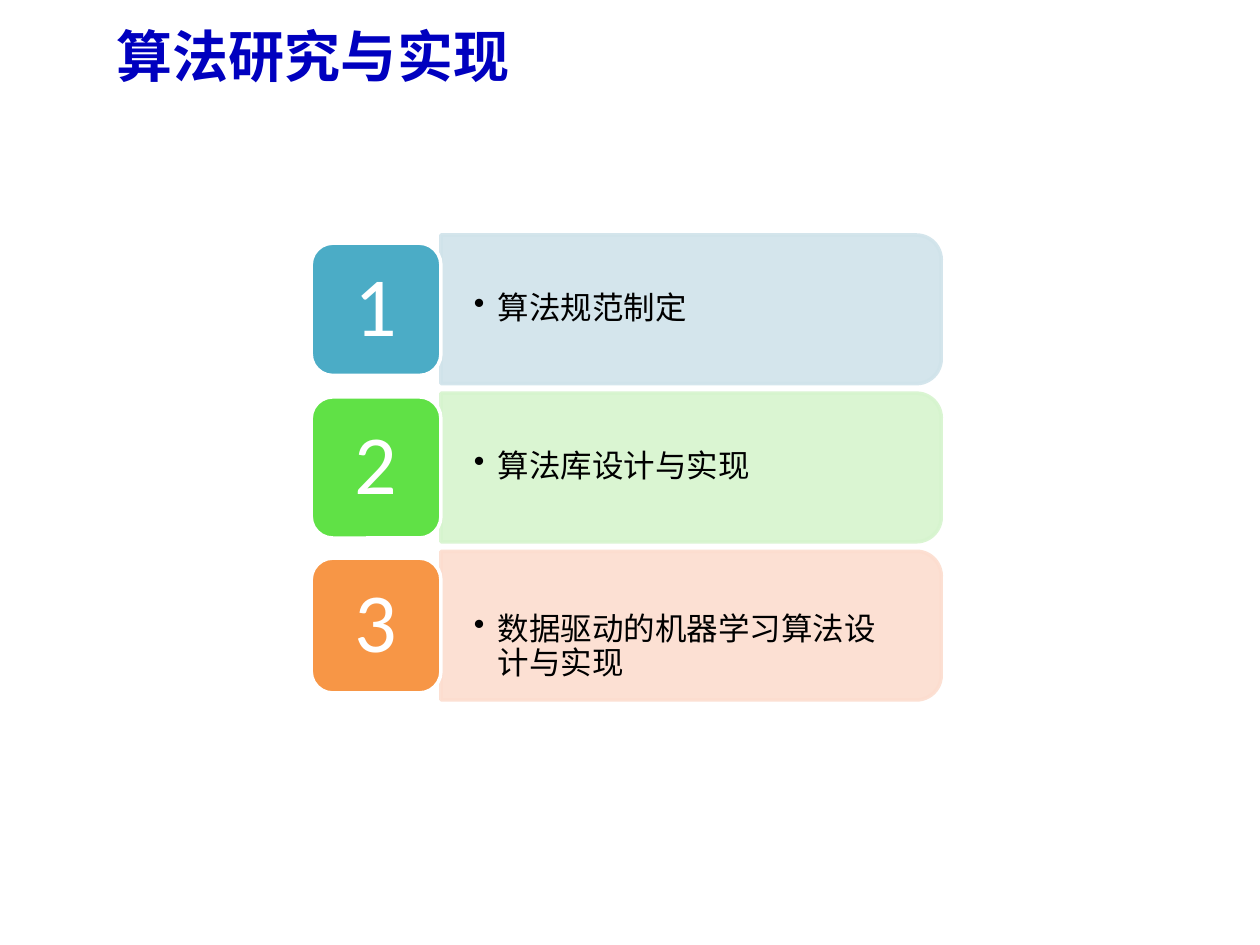
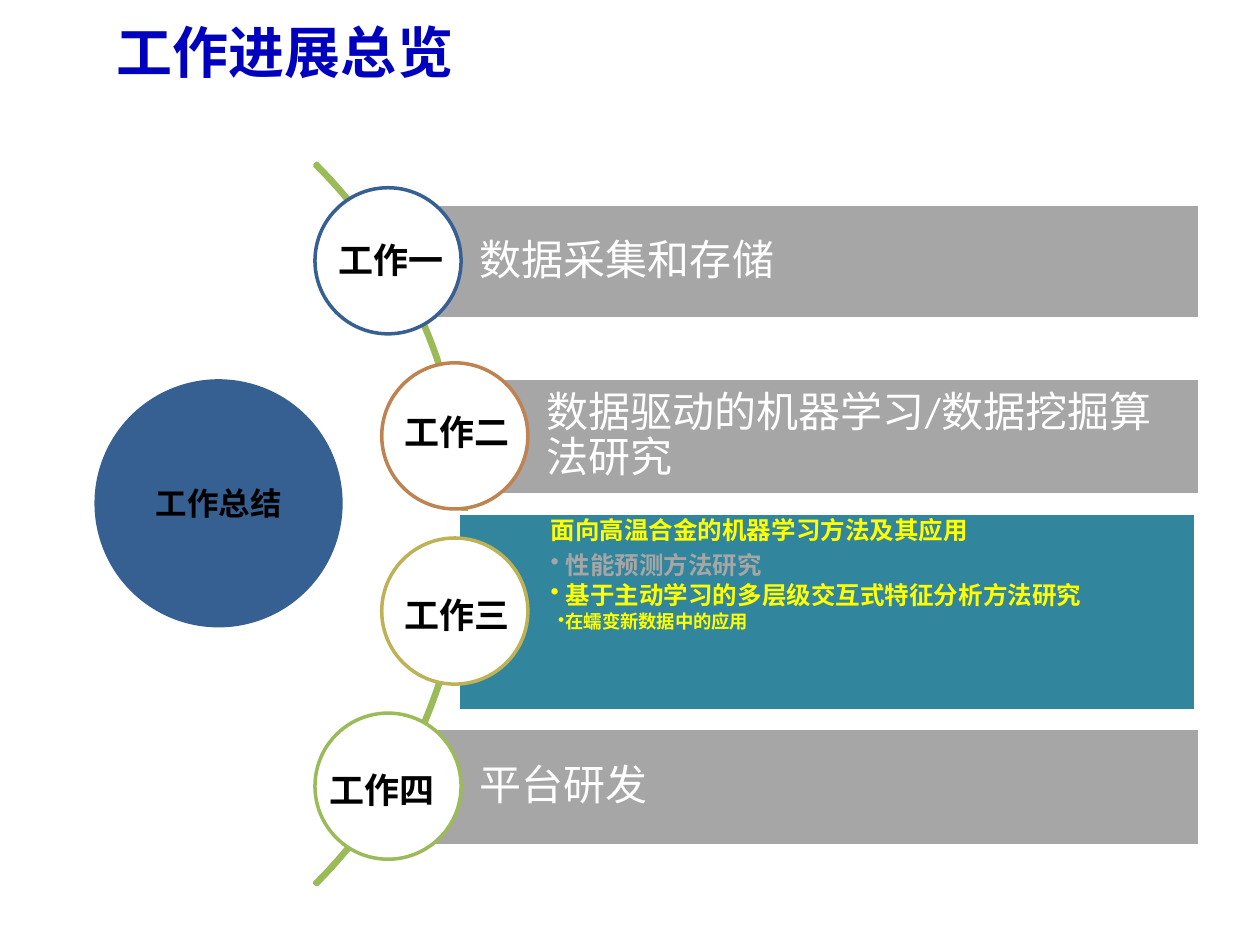
from lxml import etree
from pptx import Presentation
from pptx.dml.color import RGBColor
from pptx.enum.shapes import MSO_SHAPE
from pptx.enum.text import MSO_ANCHOR, PP_ALIGN
from pptx.oxml.ns import qn
from pptx.util import Inches, Pt

RECT, OVAL, ARC = MSO_SHAPE.RECTANGLE, MSO_SHAPE.OVAL, MSO_SHAPE.BLOCK_ARC
ROUND, TAB = MSO_SHAPE.ROUNDED_RECTANGLE, MSO_SHAPE.ROUND_2_SAME_RECTANGLE
TOP, MID = MSO_ANCHOR.TOP, MSO_ANCHOR.MIDDLE
LEFT, CENTER = PP_ALIGN.LEFT, PP_ALIGN.CENTER

# The slide is a grid of 100 columns by 75 rows.
COLS, ROWS = 100, 75
WIDE, HIGH = Inches(10), Inches(7.5)
HAN, BODY = "Noto Sans CJK SC", "Calibri"
WHITE, BLACK, BLUE, NAVY = "FFFFFF", "000000", "0000BF", "376092"
GRAY, TEAL, GREEN, YELLOW = "A6A6A6", "31859C", "9BBB59", "FFFF00"
PAD = (1, 0.5, 1, 0.5)

STEPS = [  # text, tile colour, bar colour, tile top and height, top and bottom pad
    ("算法规范制定", "4BACC6", "D0E3EA", 0.65, 10.5, 1.4, 1.4),
    ("算法库设计与实现", "60E146", "D6F4CE", 0.3, 11.2, 1.4, 1.4),
    ("数据驱动的机器学习算法设计与实现", "F79646", "FCDDCF", 0.55, 10.7, 3.6, 0.2),
]
TOPIC = dict(size=14, bold=True, color=YELLOW, after=2, bullet=True,
             indent=1.2, hang=1.2)
TOPICS = [
    ("面向高温合金的机器学习方法及其应用",
     TOPIC | dict(bullet=False, indent=0, hang=0, after=5)),
    ("性能预测方法研究", TOPIC | dict(color=GRAY)),
    ("基于主动学习的多层级交互式特征分析方法研究", TOPIC),
    ("在蠕变新数据中的应用", TOPIC | dict(size=10.5, hang=0.6)),
]
HEAD = dict(size=24, color=WHITE)
JOBS = [  # label, its offset, ring colour, ring column, bar box, bar colour, lines
    ("工作一", (0.9, 3.5), NAVY, 25, (30.8, 16.2, 64.4, 9.1), GRAY,
     [("数据采集和存储", HEAD)]),
    ("工作二", (0.8, 3.3), "BE8351", 30.3, (36.1, 30, 59.1, 9.3), GRAY,
     [("数据驱动的机器学习/数据挖掘算法研究", HEAD)]),
    ("工作三", (0.8, 3.9), "BDB255", 30.3, (36.4, 40.7, 58.5, 15.7), TEAL,
     TOPICS),
    ("工作四", (0.2, 3.9), GREEN, 25, (30.8, 57.8, 64.4, 9.3), GRAY,
     [("平台研发", HEAD)]),
]


def rgb(code):
    return RGBColor.from_string(code)


def col(n):
    return round(WIDE * n / COLS)


def row(n):
    return round(HIGH * n / ROWS)


def spot(box):
    x, y, w, h = box
    return col(x), row(y), col(w), row(h)


def fade(shape, share):
    """Make fill and line partly opaque."""
    for tint in shape._element.spPr.iter(qn("a:srgbClr")):
        etree.SubElement(tint, qn("a:alpha"), val=str(share * 1000))


def draw(slide, kind, box, fill=None, line=None):
    shape = slide.shapes.add_shape(kind, *spot(box))
    shape.shadow.inherit = False
    if fill:
        shape.fill.solid()
        shape.fill.fore_color.rgb = rgb(fill)
    else:
        shape.fill.background()
    if line:
        shape.line.color.rgb = rgb(line)
        shape.line.width = Pt(2)
    else:
        shape.line.fill.background()
    return shape


def write(shape, lines, pad=PAD, anchor=MID, align=LEFT, space=0.9):
    """Fill a shape with (text, format) lines."""
    frame = shape.text_frame
    left, top, right, low = pad
    form = dict(word_wrap=True, vertical_anchor=anchor,
                margin_left=col(left), margin_top=row(top),
                margin_right=col(right), margin_bottom=row(low))
    for key, value in form.items():
        setattr(frame, key, value)
    for i, (text, look) in enumerate(lines):
        para = frame.add_paragraph() if i else frame.paragraphs[0]
        if look.get("bullet"):
            props = para._p.get_or_add_pPr()
            props.set("marL", str(col(look["indent"])))
            props.set("indent", str(-col(look["hang"])))
            etree.SubElement(props, qn("a:buChar"), char="•")
        form = dict(alignment=align, line_spacing=space,
                    space_after=Pt(look.get("after", 0)))
        for key, value in form.items():
            setattr(para, key, value)
        run = para.add_run()
        run.text = text
        face = look.get("face", BODY)
        form = dict(name=face, size=Pt(look["size"]), bold=look.get("bold", False))
        for key, value in form.items():
            setattr(run.font, key, value)
        run.font.color.rgb = rgb(look["color"])
        etree.SubElement(run._r.get_or_add_rPr(), qn("a:ea"), typeface=face)


def label(slide, box, text, look, **form):
    write(slide.shapes.add_textbox(*spot(box)), [(text, look)], **form)


def start(deck, title, top):
    """Add a blank slide with its title."""
    slide = deck.slides.add_slide(deck.slide_layouts[6])
    look = dict(size=32, bold=True, color=BLUE, face=HAN)
    label(slide, (8.3, top, 90, 8.7), title, look, space=1)
    return slide


def step(slide, box, num, item):
    """Draw one numbered tile with its bar."""
    text, hue, pale, drop, tall, over, under = item
    x, y, w, h = box
    tile = 10.3
    size = w - tile
    # The bar stands upright and is turned about its centre.
    mid = x + tile + size / 2
    bar = draw(slide, TAB, (mid - h / 2, y + h / 2 - size / 2, h, size), pale, pale)
    bar.rotation = 90
    fade(bar, 90)
    look = dict(size=18, color=BLACK, bullet=True, indent=1.9, hang=1.9)
    label(slide, (x + tile - 0.1, y + 0.55, size - 0.5, h - 1.1), text, look,
          pad=(2.7, over, 2.7, under))
    shape = draw(slide, ROUND, (x, y + drop, tile, tall), hue, WHITE)
    write(shape, [(str(num), dict(size=48, color=WHITE))],
          pad=(2, 1, 2, 1), align=CENTER)


def steps(slide, box):
    x, y, w, h = box
    gap = 0.75
    tall = (h - gap * (len(STEPS) - 1)) / len(STEPS)
    for i, item in enumerate(STEPS):
        step(slide, (x, y + i * (tall + gap), w, tall), i + 1, item)


def hub(slide, box):
    """Draw the summary disc and the arc around it."""
    x, y, size, _ = box
    disc = draw(slide, OVAL, box, NAVY)
    write(disc, [("工作总结", dict(size=18, bold=True, color=BLACK))],
          align=CENTER, space=1)
    arc = draw(slide, ARC, (x - 51.5, y - 29, 81, 81), line=GREEN)
    for i, value in enumerate((189, 27, 0.003)):  # 315 and 45 degrees, width
        arc.adjustments[i] = value


def jobs(slide, top, pitch, size):
    for i, (name, shift, hue, x, box, fill, lines) in enumerate(JOBS):
        y = top + i * pitch
        many = len(lines) > 1
        edge = 0.4 if many else 0.7
        bar = draw(slide, RECT, box, fill, WHITE)
        write(bar, lines, pad=(7.3, edge, edge, edge), anchor=TOP if many else MID)
        draw(slide, OVAL, (x, y, size, size), WHITE, hue)
        dx, dy = shift
        label(slide, (x + dx, y + dy, size, 4.4), name,
              dict(size=20, bold=True, color=BLACK), anchor=TOP, space=1)


def main():
    deck = Presentation()
    deck.slide_width, deck.slide_height = WIDE, HIGH
    slide = start(deck, "算法研究与实现", 0)
    steps(slide, (24.7, 18.65, 50, 36.9))
    slide = start(deck, "工作进展总览", -0.3)
    hub(slide, (7.5, 30.1, 19.7, 19.7))
    jobs(slide, 14.9, 13.9, 11.6)
    deck.save("out.pptx")


if __name__ == "__main__":
    main()
